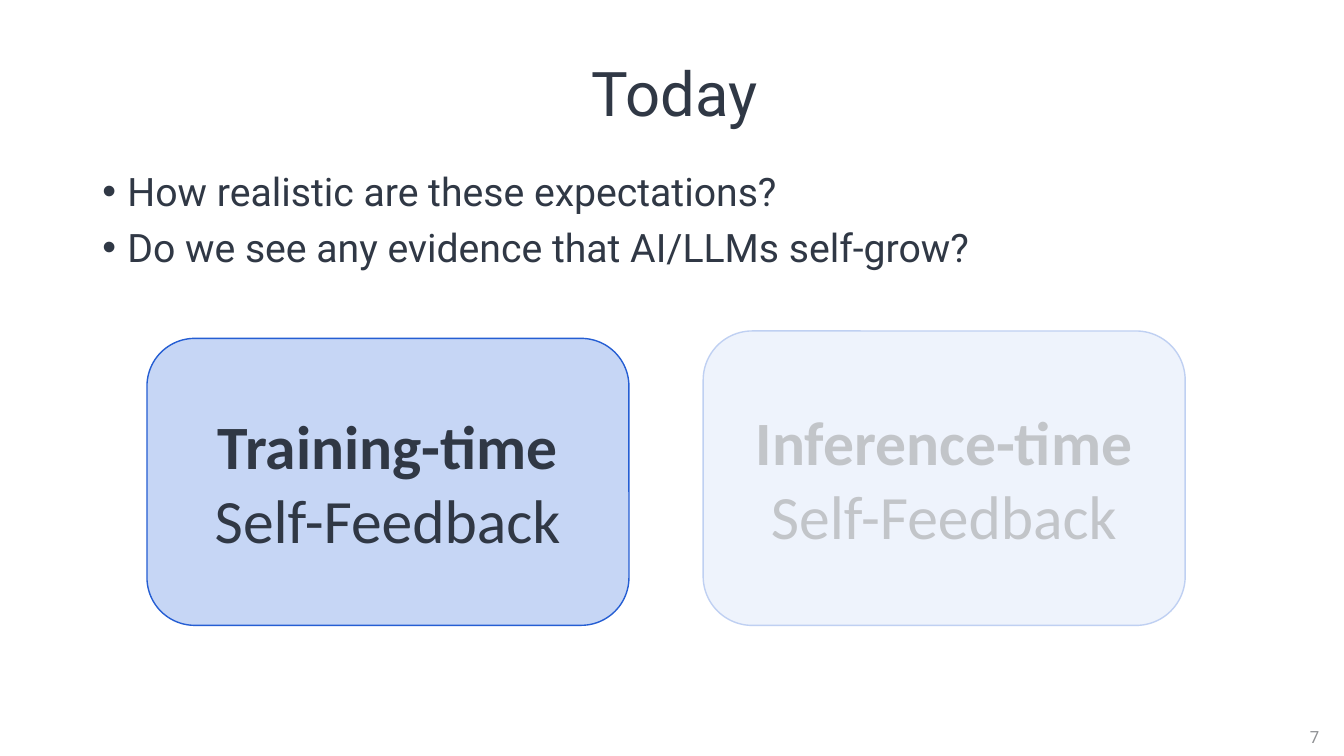
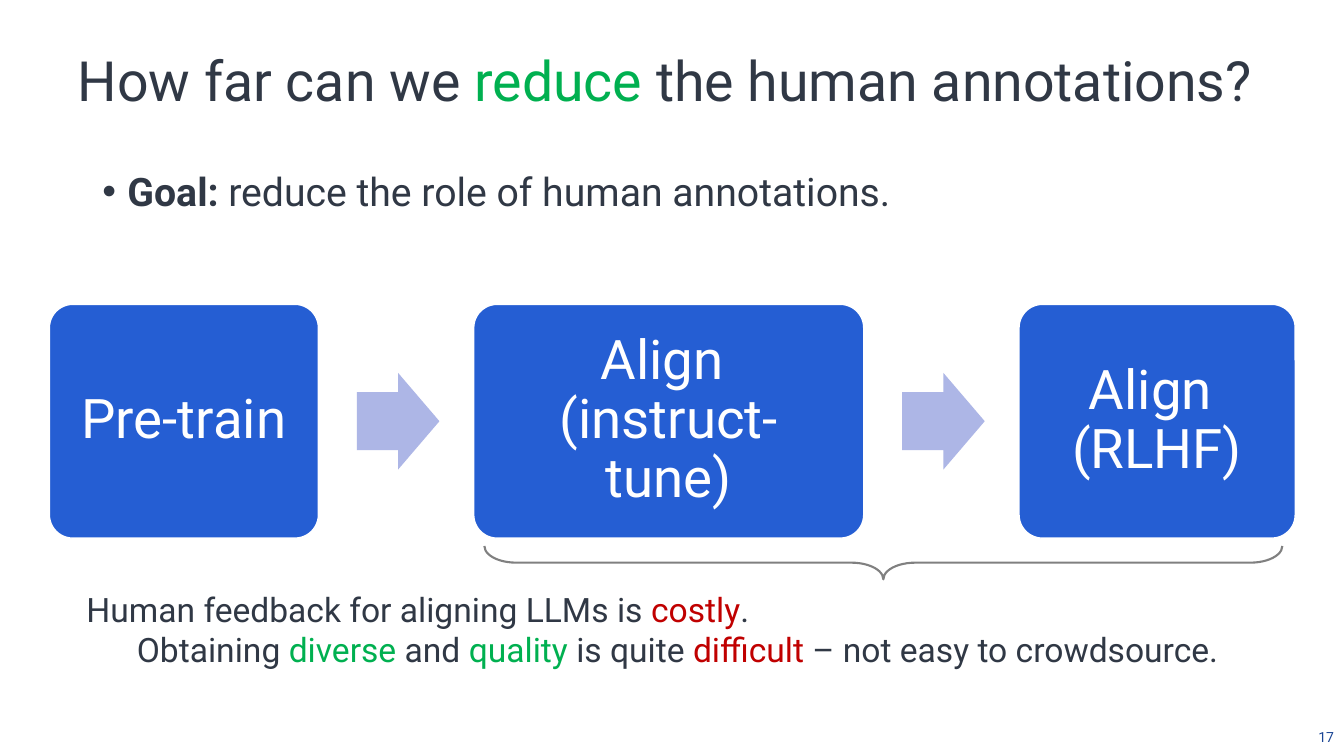
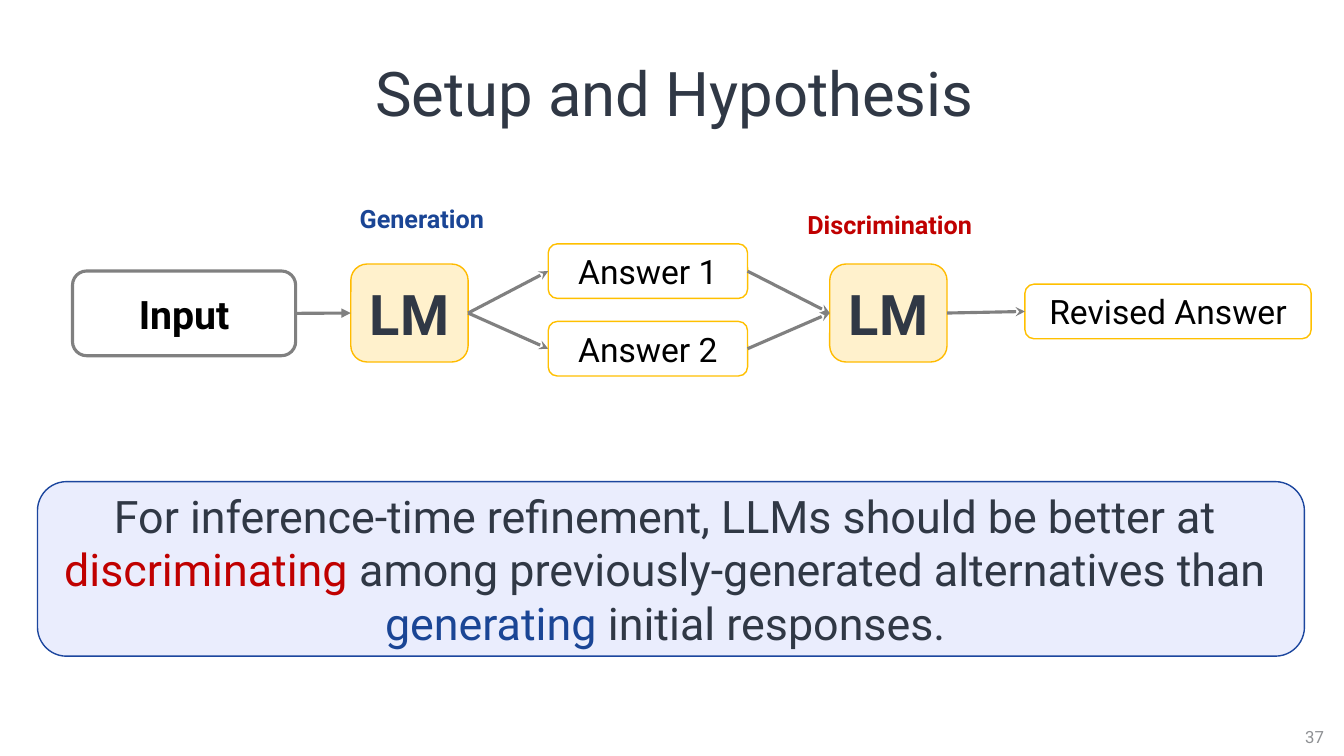
import pptx
import pptx.util
import pptx.dml.color
import pptx.enum.shapes
import pptx.enum.text
import pptx.oxml
import pptx.oxml.ns

Pt = pptx.util.Pt
SHAPE = pptx.enum.shapes.MSO_SHAPE
ANCHOR = pptx.enum.text.MSO_ANCHOR
ALIGN = pptx.enum.text.PP_ALIGN

# Shared colours and styles
DARK, BLACK, WHITE = "303845", "000000", "FFFFFF"
GREEN, RED, NAVY = "00B050", "C00000", "1A4595"
BLUE, PALE_BLUE, LAVENDER = "255ED3", "C6D6F5", "ADB6E6"
GREY, AMBER = "808080", "FFC000"
TITLE_BOX = (16, 29.5, 932, 79)
BODY_BOX = (66, 119.5, 828, 367)
NUMBER_BOX = (918, 512, 42, 29)
LEFT_SITE, RIGHT_SITE = 1, 3
BULLET = {"left_margin": 18, "indent": -18, "bullet": "•", "line_spacing": 0.9}


def rgb(hex_color):
    return pptx.dml.color.RGBColor.from_string(hex_color)


def points(box):
    return [Pt(length) for length in box]


def add_xml(parent, tag, **attributes):
    element = pptx.oxml.parse_xml(
        f'<a:{tag} {pptx.oxml.ns.nsdecls("a")}/>')
    for name, value in attributes.items():
        element.set(name, value)
    parent.append(element)
    return element


# Text
def format_run(run, values):
    for name, value in values.items():
        if name == "color":
            run.font.color.rgb = rgb(value)
        else:
            setattr(run.font, name, value)


def format_paragraph(paragraph, left_margin=0, indent=0, bullet=None, **values):
    properties = paragraph._p.get_or_add_pPr()
    properties.set("marL", str(Pt(left_margin)))
    properties.set("indent", str(Pt(indent)))
    if bullet:
        add_xml(properties, "buFont", typeface="Arial")
        add_xml(properties, "buChar", char=bullet)
    for name, value in values.items():
        setattr(paragraph, name, value)


def write(shape, paragraphs, size, color=DARK, font="Roboto", bold=False,
          align=ALIGN.CENTER, anchor=ANCHOR.MIDDLE, inset=None):
    """Each paragraph is (runs, layout); each run is (text, format)."""
    frame = shape.text_frame
    frame.word_wrap = True
    frame.auto_size = pptx.enum.text.MSO_AUTO_SIZE.NONE
    frame.vertical_anchor = anchor
    if inset is not None:
        for side in ("left", "top", "right", "bottom"):
            setattr(frame, f"margin_{side}", Pt(inset))
    base = {"size": Pt(size), "name": font, "bold": bold, "color": color}
    for index, (runs, layout) in enumerate(paragraphs):
        paragraph = frame.add_paragraph() if index else frame.paragraphs[0]
        format_paragraph(paragraph, **{"alignment": align, **layout})
        for text, changes in runs:
            for line_index, line in enumerate(text.split("\n")):
                if line_index:
                    paragraph.add_line_break()
                if line:
                    run = paragraph.add_run()
                    run.text = line
                    format_run(run, {**base, **changes})


def plain(text, **layout):
    return [([(text, {})], layout)]


def add_text(slide, box, paragraphs, size, **style):
    shape = slide.shapes.add_textbox(*points(box))
    write(shape, paragraphs, size, **style)


# Shapes
def add_shape(slide, kind, box, fill=None, line=None, width=1, adjustments=()):
    shape = slide.shapes.add_shape(kind, *points(box))
    shape.shadow.inherit = False
    for index, value in enumerate(adjustments):
        shape.adjustments[index] = value
    if fill:
        shape.fill.solid()
        shape.fill.fore_color.rgb = rgb(fill)
    else:
        shape.fill.background()
    if line:
        shape.line.color.rgb = rgb(line)
        shape.line.width = Pt(width)
    else:
        shape.line.fill.background()
    return shape


def add_card(slide, box, paragraphs, size, fill=None, line=None, width=1,
             adjustments=(), **style):
    card = add_shape(slide, SHAPE.ROUNDED_RECTANGLE, box, fill, line, width,
                     adjustments)
    write(card, paragraphs, size, **style)
    return card


def add_arrow(slide, start, end, head="stealth"):
    connector = slide.shapes.add_connector(
        pptx.enum.shapes.MSO_CONNECTOR.STRAIGHT, 0, 0, 0, 0)
    connector.begin_connect(start, RIGHT_SITE)
    connector.end_connect(end, LEFT_SITE)
    connector.line.color.rgb = rgb(GREY)
    connector.line.width = Pt(2.25)
    add_xml(connector.line._get_or_add_ln(), "tailEnd", type=head)
    add_xml(connector._element.spPr, "effectLst")


# Frame shared by all slides
def start_slide(presentation, runs, number, box=TITLE_BOX, title_style=None,
                number_style=None):
    slide = presentation.slides.add_slide(presentation.slide_layouts[5])
    title = slide.shapes.title
    title.left, title.top, title.width, title.height = points(box)
    write(title, [(runs, {"line_spacing": 0.9})],
          **{"size": 44, **(title_style or {})})
    add_text(slide, NUMBER_BOX, plain(number),
             **{"size": 12, "color": "8F9194", **(number_style or {})})
    return slide


def add_bullets(slide, box, items):
    paragraphs = [(runs, {**BULLET, "space_before": Pt(10 if index else 0)})
                  for index, runs in enumerate(items)]
    add_text(slide, box, paragraphs, 28, align=ALIGN.LEFT, anchor=ANCHOR.TOP)


# Slide 1: two kinds of feedback, the second one faded
def add_feedback_card(slide, box, stage):
    runs = [(f"{stage} ", {"bold": True}), ("Self-Feedback", {})]
    add_card(slide, box, [(runs, {})], 44, PALE_BLUE, BLUE, font="Calibri")


def add_veil(slide, box):
    veil = add_shape(slide, SHAPE.RECTANGLE, box, WHITE)
    color = veil._element.spPr.find(".//" + pptx.oxml.ns.qn("a:srgbClr"))
    add_xml(color, "alpha", val="71000")


def build_today(presentation):
    slide = start_slide(presentation, [("Today", {})], "7")
    add_bullets(slide, BODY_BOX, [
        [("How realistic are these expectations?", {})],
        [("Do we see any evidence that AI/LLMs self-grow?", {})]])
    add_feedback_card(slide, (105, 241.7, 344.3, 205), "Training-time")
    add_feedback_card(slide, (502.3, 236.4, 344.3, 210.3), "Inference-time")
    add_veil(slide, (487.5, 226, 381, 271))


# Slide 2: training steps joined by block arrows
def add_process(slide, left, top, height, steps):
    arrow_width, arrow_height, gap_before, gap_after = 59, 69, 27.4, 24.5
    for index, (label, width) in enumerate(steps):
        if index:
            arrow_top = top + (height - arrow_height) / 2
            add_shape(slide, SHAPE.RIGHT_ARROW,
                      (left + gap_before, arrow_top, arrow_width, arrow_height),
                      LAVENDER, adjustments=(0.6, 0.5))
            left += gap_before + arrow_width + gap_after
        add_card(slide, (left, top, width, height),
                 plain(label, line_spacing=0.9), 39, BLUE, WHITE,
                 adjustments=(0.1,), color=WHITE, inset=11.5)
        left += width


def add_brace_below(slide, left, top, width, height):
    """Turn an upright brace on its side to fill the given box."""
    box = (left + (width - height) / 2, top + (height - width) / 2,
           height, width)
    brace = add_shape(slide, SHAPE.LEFT_BRACE, box, None, GREY, 1.5,
                      (0.96, 0.5))
    brace.rotation = 270


def build_annotations(presentation):
    green, red = {"color": GREEN}, {"color": RED}
    slide = start_slide(
        presentation,
        [("How far can we ", {}), ("reduce ", green),
         ("the human annotations?", {})], "17", (46, 28.8, 891.5, 104.4),
        {"size": 39.6, "align": ALIGN.LEFT, "anchor": ANCHOR.TOP, "inset": 9.4},
        {"size": 10, "color": NAVY, "align": ALIGN.RIGHT, "inset": 7.2})
    add_bullets(slide, BODY_BOX, [
        [("Goal:", {"bold": True}),
         (" reduce the role of human annotations.", {})]])
    add_process(slide, 35.3, 217.4, 167, [
        ("Pre-train", 192.2), ("Align \n(instruct-tune)", 278.6),
        ("Align \n(RLHF)", 197.3)])
    add_brace_below(slide, 346, 390, 570, 23.8)
    add_text(slide, (54.7, 416.9, 883.4, 94.3), [
        ([("Human feedback for aligning LLMs is ", {}), ("costly", red),
          (".", {})], {}),
        ([("Obtaining ", {}), ("diverse", green), (" and ", {}),
          ("quality", green), (" is quite ", {}), ("difficult", red),
          (" – not easy to crowdsource.", {})],
         {"level": 1, "left_margin": 36})],
        24, align=ALIGN.LEFT, anchor=ANCHOR.TOP)


# Slide 3: flow from input to revised answer
def add_model(slide, left, top):
    return add_card(slide, (left, top, 83.8, 70), plain("LM"), 40, "FFF1CC",
                    "FFBB00", bold=True)


def add_answer(slide, left, top, label, width=142.4):
    return add_card(slide, (left, top, width, 39), plain(label), 24,
                    line=AMBER, color=BLACK)


def add_flow(slide, left, top):
    source = add_card(slide, (left, top + 19.4, 159.4, 60.5), plain("Input"),
                      28, line=GREY, width=2.25, color=BLACK, bold=True)
    generator = add_model(slide, left + 198.8, top + 14.4)
    answers = [add_answer(slide, left + 339.8, top + offset, label)
               for label, offset in (("Answer 1", 0), ("Answer 2", 55.4))]
    discriminator = add_model(slide, left + 540.9, top + 14.4)
    revised = add_answer(slide, left + 680.3, top + 28.8, "Revised Answer",
                         204.5)
    add_arrow(slide, source, generator, "triangle")
    for answer in answers:
        add_arrow(slide, generator, answer)
        add_arrow(slide, answer, discriminator)
    add_arrow(slide, discriminator, revised)
    for label, offset, rise, width, color in (
            ("Generation", 188, 32.4, 123, NAVY),
            ("Discrimination", 515, 28, 137.5, RED)):
        add_text(slide, (left + offset, top - rise, width, 29), plain(label),
                 18, color=color, bold=True, anchor=ANCHOR.TOP)


def build_hypothesis(presentation):
    slide = start_slide(presentation, [("Setup and Hypothesis", {})], "37")
    add_card(slide, (26.8, 344, 905, 124.7), [([
        ("For inference-time refinement, LLMs should be better at \n", {}),
        ("discriminating", {"color": RED}),
        (" among previously-generated alternatives than \n", {}),
        ("generating ", {"color": NAVY}),
        ("initial responses. ", {})], {})], 32, "EAEDFD", "1C469E")
    add_flow(slide, 51.8, 174.2)


def main():
    presentation = pptx.Presentation()
    presentation.slide_width, presentation.slide_height = points((960, 540))
    build_today(presentation)
    build_annotations(presentation)
    build_hypothesis(presentation)
    presentation.save("out.pptx")


if __name__ == "__main__":
    main()
